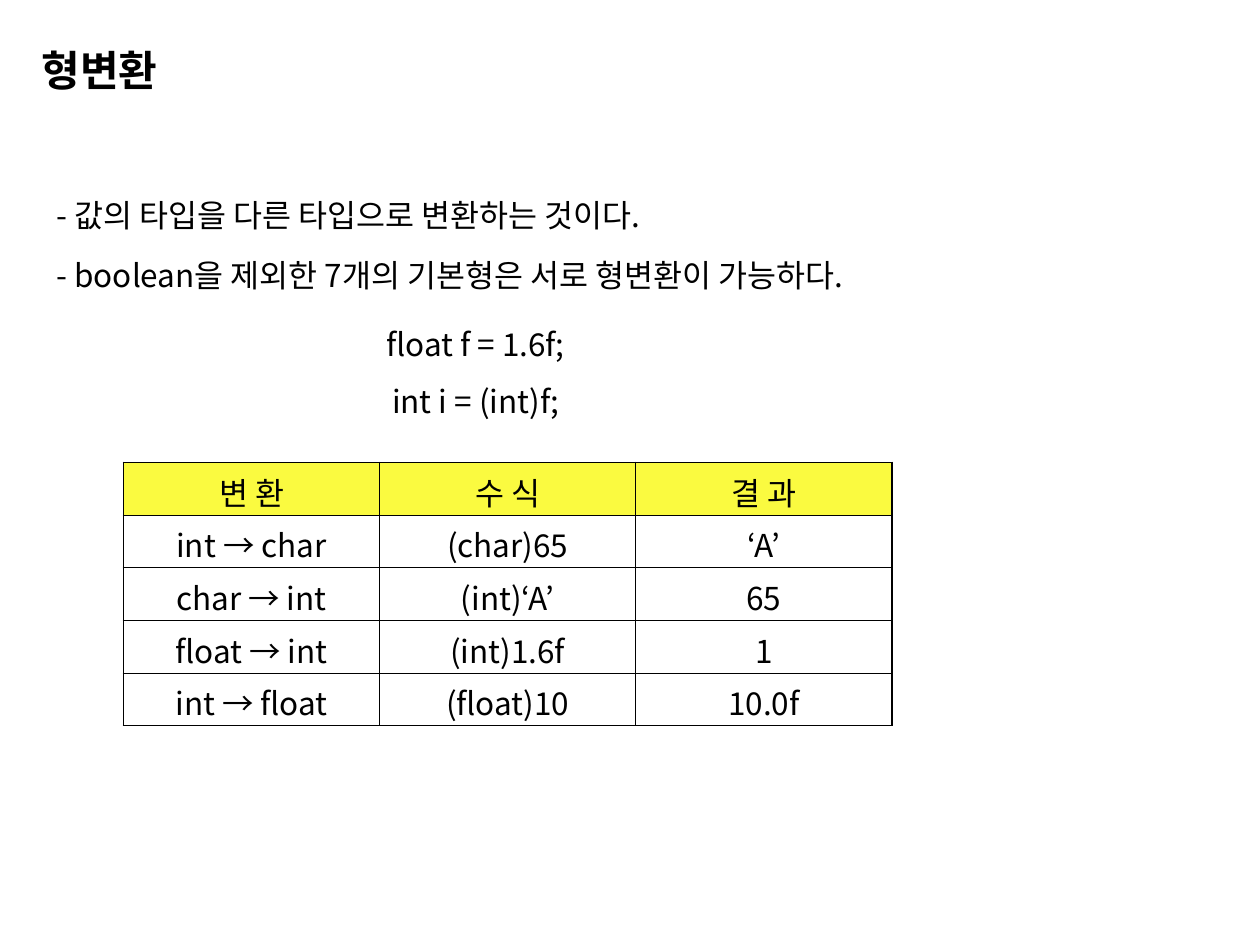
from lxml import etree
from pptx import Presentation
from pptx.dml.color import RGBColor
from pptx.enum import text
from pptx.oxml.ns import qn
from pptx.util import Inches, Pt

FONT = "Noto Sans CJK KR"
COLORS = {"ink": "000000", "header": "FAFA40"}
THIN, THICK = Pt(0.45), Pt(1.08)
ROWS = [
    ("변 환", "수 식", "결 과"),
    ("int → char", "(char)65", "‘A’"),
    ("char → int", "(int)‘A’", "65"),
    ("float → int", "(int)1.6f", "1"),
    ("int → float", "(float)10", "10.0f"),
]


def format_paragraph(paragraph, size=18, bold=False, align=text.PP_ALIGN.LEFT):
    paragraph.alignment = align
    for run in paragraph.runs:
        run.font.name = FONT
        run.font.size = Pt(size)
        run.font.bold = bold
        run.font.color.rgb = RGBColor.from_string(COLORS["ink"])
        east_asian = etree.SubElement(run._r.get_or_add_rPr(), qn("a:ea"))
        east_asian.set("typeface", FONT)


def set_title(slide, wording):
    title = slide.shapes.title
    title.left, title.top = Inches(0.33), Inches(0.33)
    title.width, title.height = Inches(9.32), Inches(0.49)
    frame = title.text_frame
    frame.text = wording
    frame.margin_left = frame.margin_right = 0
    frame.vertical_anchor = text.MSO_ANCHOR.MIDDLE
    frame.paragraphs[0].line_spacing = 0.9
    format_paragraph(frame.paragraphs[0], size=24, bold=True)


def add_text(slide, lines, left, top, width, height, align=text.PP_ALIGN.LEFT):
    box = slide.shapes.add_textbox(Inches(left), Inches(top), Inches(width), Inches(height))
    frame = box.text_frame
    frame.word_wrap = True
    frame.text = "\n".join(lines)
    for index, paragraph in enumerate(frame.paragraphs):
        if index:
            paragraph.space_before = Pt(11.2)
        format_paragraph(paragraph, align=align)


def set_borders(cell, widths):
    """Draw the left, right, top and bottom edges, ahead of the cell's fill."""
    properties = cell._tc.get_or_add_tcPr()
    for index, (side, width) in enumerate(zip("LRTB", widths)):
        line = etree.Element(qn(f"a:ln{side}"), w=str(int(width)))
        fill = etree.SubElement(line, qn("a:solidFill"))
        etree.SubElement(fill, qn("a:srgbClr"), val=COLORS["ink"])
        properties.insert(index, line)


def add_conversion_table(slide):
    last_row, last_column = len(ROWS) - 1, len(ROWS[0]) - 1
    table = slide.shapes.add_table(
        len(ROWS), len(ROWS[0]), Inches(0.98), Inches(3.67), Inches(6.1), Inches(2.09)
    ).table
    for r, row in enumerate(ROWS):
        for c, wording in enumerate(row):
            cell = table.cell(r, c)
            cell.text = wording
            format_paragraph(cell.text_frame.paragraphs[0], align=text.PP_ALIGN.CENTER)
            if r == 0:
                cell.fill.solid()
                cell.fill.fore_color.rgb = RGBColor.from_string(COLORS["header"])
            else:
                cell.fill.background()
            outer = (c == 0, c == last_column, r == 0, r == last_row)
            set_borders(cell, [THICK if edge else THIN for edge in outer])


def main():
    presentation = Presentation()
    presentation.slide_width, presentation.slide_height = Inches(10), Inches(7.5)
    slide = presentation.slides.add_slide(presentation.slide_layouts[5])
    set_title(slide, "형변환")
    add_text(slide, ["- 값의 타입을 다른 타입으로 변환하는 것이다."], 0.35, 1.51, 8.82, 0.4)
    add_conversion_table(slide)
    add_text(slide, ["float f = 1.6f;", "int i = (int)f;"], 0.94, 2.53, 5.67, 0.86,
             align=text.PP_ALIGN.CENTER)
    add_text(slide, ["- boolean을 제외한 7개의 기본형은 서로 형변환이 가능하다."], 0.35, 1.98, 8.47, 0.4)
    presentation.save("out.pptx")


if __name__ == "__main__":
    main()
